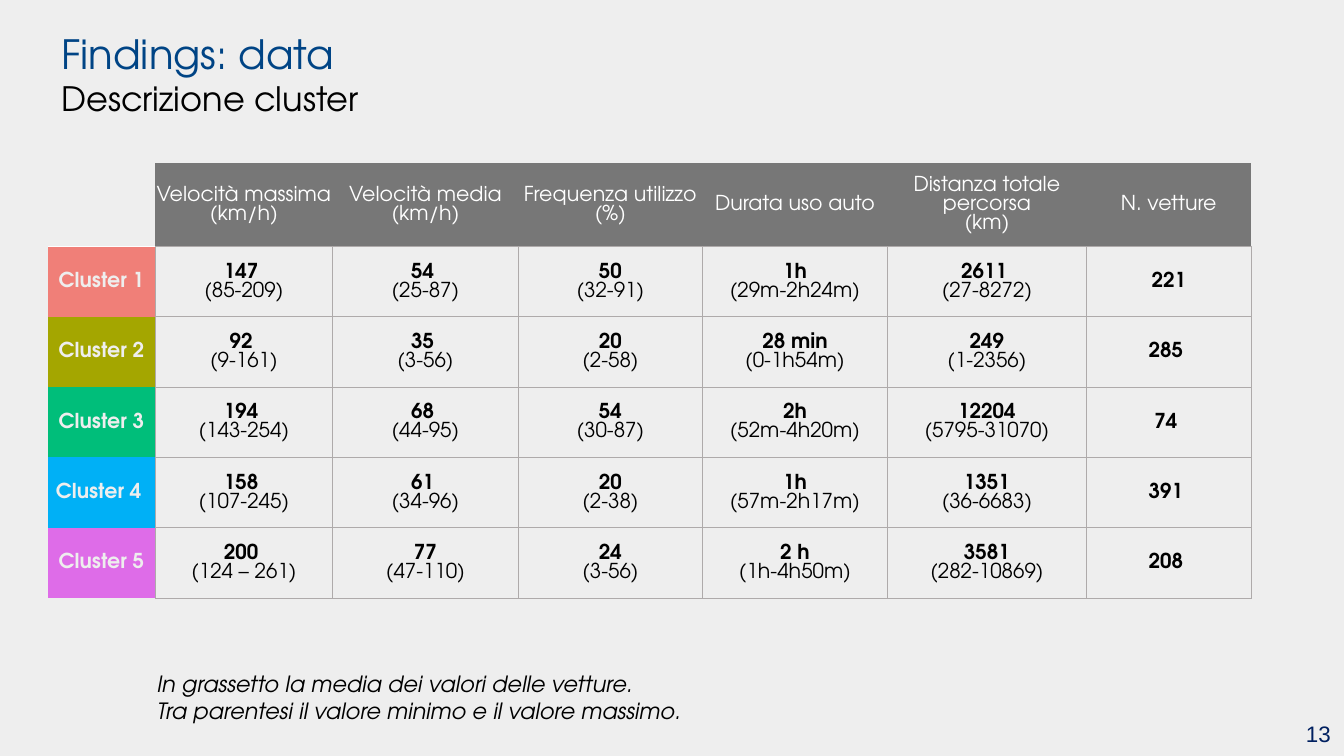
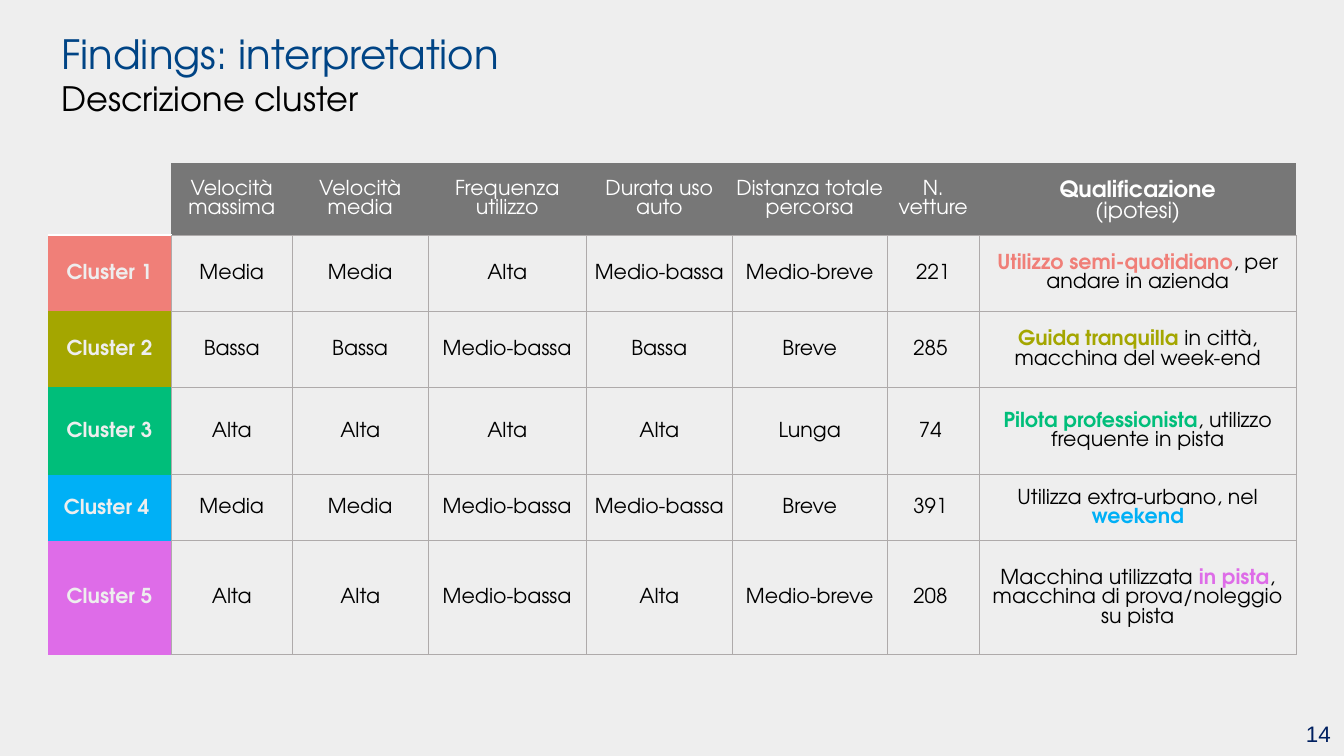
import pptx
import pptx.dml.color
import pptx.enum.text
import pptx.oxml
import pptx.util
from lxml import etree

Pt = pptx.util.Pt
RGBColor = pptx.dml.color.RGBColor
ALIGN = pptx.enum.text.PP_ALIGN
ANCHOR = pptx.enum.text.MSO_ANCHOR
AUTO_SIZE = pptx.enum.text.MSO_AUTO_SIZE

FONT = "TeX Gyre Adventor"
PAPER = RGBColor(0xEE, 0xEE, 0xEE)
BLUE = RGBColor(0x00, 0x44, 0x85)
NAVY = RGBColor(0x00, 0x20, 0x60)
BLACK = RGBColor(0x00, 0x00, 0x00)
WHITE = RGBColor(0xFF, 0xFF, 0xFF)
GREY = RGBColor(0x77, 0x77, 0x77)
RULE = RGBColor(0xAE, 0xAA, 0xAA)
CLUSTERS = [
    ("Cluster 1", RGBColor(0xF0, 0x7F, 0x78)),
    ("Cluster 2", RGBColor(0xA4, 0xA6, 0x00)),
    ("Cluster 3", RGBColor(0x00, 0xBE, 0x7A)),
    ("Cluster 4 ", RGBColor(0x00, 0xB0, 0xF6)),
    ("Cluster 5", RGBColor(0xDE, 0x6C, 0xE8)),
]
LEFT = 25.6
THIN = (RULE, 0.5)
GAP = (WHITE, 1)
GRID = {"L": THIN, "R": THIN, "T": THIN, "B": THIN}

DATA_HEADS = [
    ["Velocità massima (km/h)"], ["Velocità media", "(km/h)"],
    ["Frequenza utilizzo", "(%)"], ["Durata uso auto"],
    ["Distanza totale percorsa", "(km)"], ["N. vetture"],
]
DATA_ROWS = [
    [("147 ", "(85-209)"), ("54 ", "(25-87)"), ("50", "(32-91)"),
     ("1h", "(29m-2h24m)"), ("2611 ", "(27-8272)"), ("221",)],
    [("92 ", "(9-161)"), ("35 ", "(3-56)"), ("20", "(2-58)"),
     ("28 min", "(0-1h54m)"), ("249", "(1-2356)"), ("285 ",)],
    [("194 ", "(143-254)"), ("68 ", "(44-95)"), ("54", "(30-87)"),
     ("2h", "(52m-4h20m)"), ("12204", "(5795-31070)"), ("74 ",)],
    [("158 ", "(107-245)"), ("61 ", "(34-96)"), ("20", "(2-38)"),
     ("1h", "(57m-2h17m)"), ("1351", "(36-6683)"), ("391 ",)],
    [("200 ", "(124 – 261)"), ("77", "(47-110)"), ("24", "(3-56)"),
     ("2 h", "(1h-4h50m)"), ("3581", "(282-10869)"), ("208 ",)],
]
LEVEL_HEADS = ["Velocità massima", "Velocità media", "Frequenza utilizzo",
               "Durata uso auto", "Distanza totale percorsa", "N. vetture"]
LEVEL_ROWS = [
    ["Media", "Media", "Alta", "Medio-bassa", "Medio-breve", "221"],
    ["Bassa", "Bassa", "Medio-bassa", "Bassa", "Breve", "285 "],
    ["Alta", "Alta", "Alta", "Alta", "Lunga", "74 "],
    ["Media", "Media", "Medio-bassa", "Medio-bassa", "Breve", "391 "],
    ["Alta", "Alta", "Medio-bassa", "Alta", "Medio-breve", "208 "],
]
PROFILES = [
    ("", "Utilizzo semi-quotidiano", ", per andare in azienda"),
    ("", "Guida tranquilla ", "in città, macchina del week-end"),
    ("", "Pilota professionista", ", utilizzo frequente in pista"),
    ("Utilizza extra-urbano, nel ", "weekend", ""),
    ("Macchina utilizzata ", "in pista",
     ", macchina di prova/noleggio su pista"),
]


def add_run(p, text, size=11, color=BLACK, bold=False, italic=False, font=FONT):
    r = p.add_run()
    r.text = text
    r.font.name = font
    r.font.size = Pt(size)
    r.font.bold = bold
    r.font.italic = italic
    r.font.color.rgb = color


def add_text(s, lines, left, top, width, height, align=ALIGN.LEFT,
             anchor=ANCHOR.TOP, **fmt):
    sp = s.shapes.add_textbox(Pt(left), Pt(top), Pt(width), Pt(height))
    tf = sp.text_frame
    tf.word_wrap = True
    tf.vertical_anchor = anchor
    for i, line in enumerate(lines):
        p = tf.add_paragraph() if i else tf.paragraphs[0]
        p.alignment = align
        add_run(p, line, **fmt)


def set_edges(cell, edges):
    tc_pr = cell._tc.get_or_add_tcPr()
    ns = pptx.oxml.ns.qn
    for side in "LRTB":
        ln = etree.SubElement(tc_pr, ns("a:ln" + side))
        if side in edges:
            color, width = edges[side]
            ln.set("w", str(Pt(width)))
            fill = etree.SubElement(ln, ns("a:solidFill"))
            etree.SubElement(fill, ns("a:srgbClr")).set("val", str(color))
        else:
            etree.SubElement(ln, ns("a:noFill"))


def fill_cell(cell, paragraphs, fill, edges):
    cell.margin_left = cell.margin_right = cell.margin_top = Pt(0.5)
    cell.margin_bottom = 0
    cell.vertical_anchor = ANCHOR.MIDDLE
    set_edges(cell, edges)
    cell.fill.solid()
    cell.fill.fore_color.rgb = fill
    tf = cell.text_frame
    for i, runs in enumerate(paragraphs):
        p = tf.add_paragraph() if i else tf.paragraphs[0]
        p.alignment = ALIGN.CENTER
        for text, fmt in runs:
            add_run(p, text, **fmt)


def add_cluster_table(s, heads, rows, widths, heights):
    tb = s.shapes.add_table(len(heights), len(widths), Pt(LEFT), Pt(87.2),
                            Pt(sum(widths)), Pt(sum(heights))).table
    tb.first_row = tb.horz_banding = False
    for col, width in zip(tb.columns, widths):
        col.width = Pt(width)
    for row, height in zip(tb.rows, heights):
        row.height = Pt(height)
    fill_cell(tb.cell(0, 0), [], PAPER, {"B": GAP})
    for c, paragraphs in enumerate(heads, 1):
        fill_cell(tb.cell(0, c), paragraphs, GREY, {"B": THIN})
    for r, ((name, color), cells) in enumerate(zip(CLUSTERS, rows), 1):
        edges = {"R": THIN, "T": GAP} if r == 1 else {"R": THIN}
        label = [[(name, {"color": PAPER, "bold": True})]]
        fill_cell(tb.cell(r, 0), label, color, edges)
        for c, paragraphs in enumerate(cells, 1):
            fill_cell(tb.cell(r, c), paragraphs, PAPER, GRID)
    return tb


def plain(*lines, **fmt):
    return [[(line, fmt)] for line in lines]


def mean_and_range(mean, *limits):
    return plain(mean, bold=True) + plain(*limits)


def profile(before, key, after, color):
    parts = [(before, {}), (key, {"color": color, "bold": True}), (after, {})]
    return [[part for part in parts if part[0]]]


def add_slide(prs, title, number):
    s = prs.slides.add_slide(prs.slide_layouts[5])
    sp = s.shapes.title
    sp.left, sp.top, sp.width, sp.height = Pt(LEFT), Pt(23.8), Pt(406), Pt(31)
    tf = sp.text_frame
    tf.word_wrap = True
    tf.auto_size = AUTO_SIZE.NONE
    tf.vertical_anchor = ANCHOR.MIDDLE
    p = tf.paragraphs[0]
    p.alignment = ALIGN.LEFT
    add_run(p, title, size=21.6, color=BLUE)
    p.add_line_break()
    add_run(p, "Descrizione cluster", size=18)
    add_text(s, [str(number)], 674, 381, 46, 24, align=ALIGN.RIGHT,
             anchor=ANCHOR.MIDDLE, size=12, color=NAVY, font="Arial")
    return s


def add_data_slide(prs):
    s = add_slide(prs, "Findings: data", 13)
    heads = [plain(*lines, color=WHITE) for lines in DATA_HEADS]
    rows = [[mean_and_range(*values) for values in row] for row in DATA_ROWS]
    add_cluster_table(s, heads, rows, [57.6, 95, 99.5, 98.7, 99.1, 106.6, 88.2],
                      [44.8] + [37.7] * 5)
    add_text(s, ["In grassetto la media dei valori delle vetture.",
                 "Tra parentesi il valore minimo e il valore massimo."],
             77, 355.7, 316, 36, size=12, italic=True)


def add_interpretation_slide(prs):
    s = add_slide(prs, "Findings: interpretation ", 14)
    heads = [plain(text, color=WHITE) for text in LEVEL_HEADS]
    heads.append(plain("Qualificazione", size=12, color=WHITE, bold=True)
                 + plain("(ipotesi)", size=12, color=WHITE))
    rows = [[plain(text) for text in levels] + [profile(*parts, color)]
            for levels, parts, (_, color) in zip(LEVEL_ROWS, PROFILES, CLUSTERS)]
    tb = add_cluster_table(s, heads, rows,
                           [66.2, 64.8, 72.8, 84.7, 78.3, 82.9, 49.4, 169.8],
                           [33, 40.8, 40.8, 46.8, 35.4, 60.9])
    qualification = tb.cell(0, 7)
    qualification.vertical_anchor = ANCHOR.TOP
    qualification.margin_top = Pt(10)


def main():
    prs = pptx.Presentation()
    prs.slide_width, prs.slide_height = Pt(720), Pt(405)
    fill = prs.slide_master.background.fill
    fill.solid()
    fill.fore_color.rgb = PAPER
    add_data_slide(prs)
    add_interpretation_slide(prs)
    prs.save("out.pptx")


if __name__ == "__main__":
    main()
